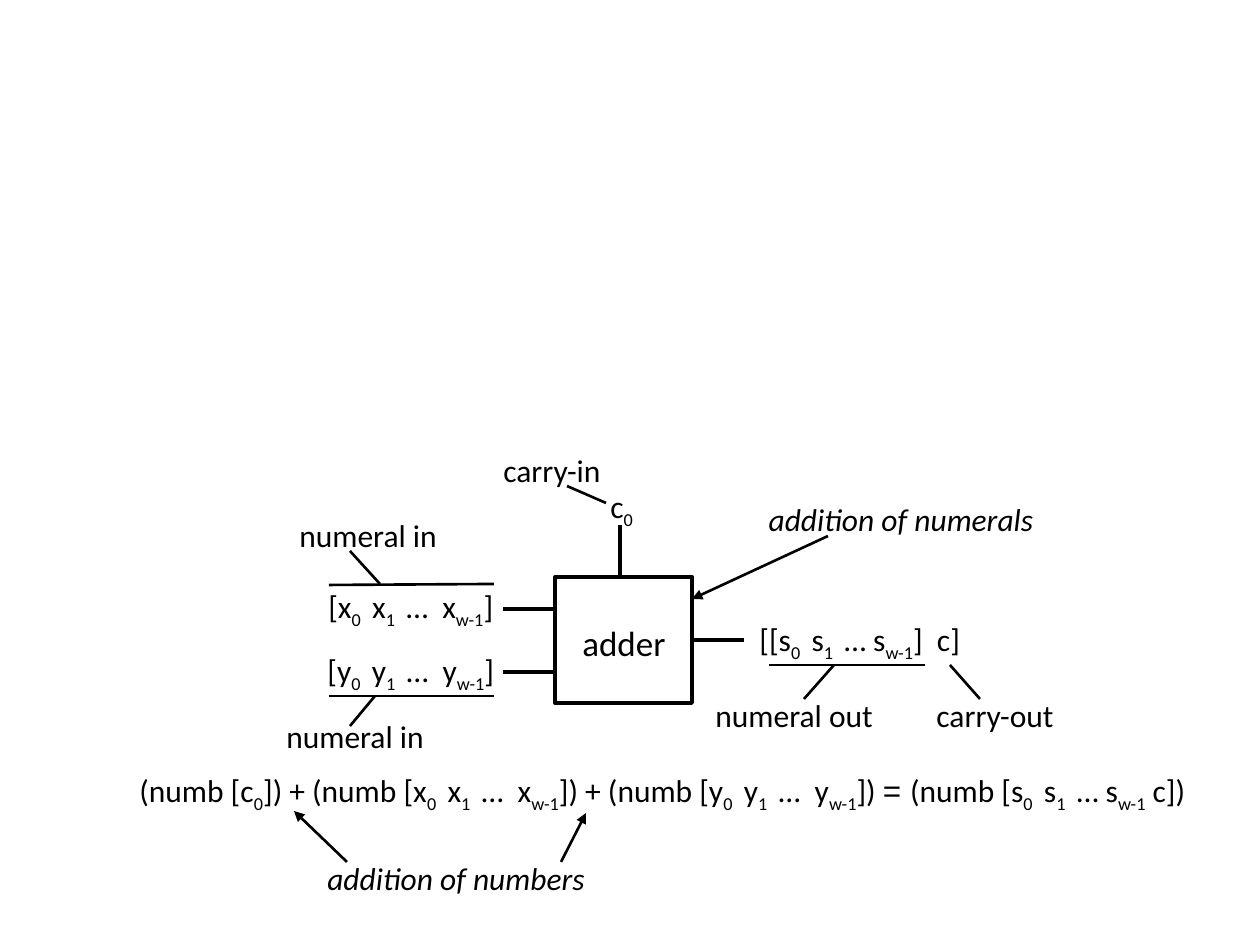
from lxml.etree import SubElement
from pptx import Presentation
from pptx.dml.color import RGBColor
from pptx.enum.shapes import MSO_CONNECTOR as Connector, MSO_SHAPE as Shape
from pptx.enum.text import MSO_AUTO_SIZE as AutoSize, PP_ALIGN as Align
from pptx.oxml.ns import qn
from pptx.util import Emu, Pt

SCALE = 914400 / 126
BLACK = RGBColor(0, 0, 0)
THIN, THICK = 1.5, 2.25

# Text in braces is a subscript, except the equals sign, which is set in Arial
# Labels: text, left, top, width, height
LABELS = [
    ("[x{0 } x{1 } …  x{w-1}]", 316, 581, 192, 55),
    ("[y{0 } y{1 } …  y{w-1}]", 315, 645, 194, 55),
    ("[[s{0 } s{1 } … s{w-1}]  c]", 747, 614, 228, 55),
    ("c{0}", 598, 481, 50, 55),
    ("numeral in", 287, 510, 163, 50),
    ("numeral in", 274, 711, 163, 50),
    ("numeral out", 703, 690, 185, 50),
    ("carry-in", 491, 445, 123, 50),
    ("carry-out", 924, 690, 142, 50),
    ("(numb [c{0}]) + (numb [x{0 } x{1 } …  x{w-1}]) + (numb [y{0 } y{1 } …  y{w-1}]) "
     "{= }(numb [s{0 } s{1 } … s{w-1} c])", 127, 765, 1092, 55),
]
CAPTIONS = [
    ("addition of numerals", 751, 498, 300, 47),
    ("addition of numbers", 306, 857, 300, 47),
]
ADDER_LABEL = ("adder", 560, 615, 128, 55)
ADDER_BOX = (555, 577, 137, 126)

# Lines: from x, from y, to x, to y
WIRES = [(555, 609, 503, 609), (555, 672, 503, 672), (620, 577, 620, 525)]
OUTPUT_WIRE = (744, 640, 692, 640)
BRACKET_LINES = [(329, 585, 494, 584), (329, 696, 494, 696), (769, 665, 925, 665)]
LEADERS = [
    (350, 551, 380, 584), (350, 726, 375, 696), (804, 699, 834, 665),
    (980, 699, 950, 665), (606, 503, 567, 486),
]
ARROWS = [(828, 536, 692, 599), (561, 862, 586, 813), (347, 862, 294, 811)]


def px(*values):
    return [Emu(round(value * SCALE)) for value in values]


def add_label(slide, text, left, top, width, height,
              size=18, italic=False, align=None, spacing=None, rotation=0):
    box = slide.shapes.add_textbox(*px(left, top, width, height))
    box.rotation = rotation
    frame = box.text_frame
    frame.word_wrap = False
    frame.auto_size = AutoSize.SHAPE_TO_FIT_TEXT
    paragraph = frame.paragraphs[0]
    paragraph.alignment = align
    paragraph.line_spacing = spacing
    for index, piece in enumerate(text.replace("}", "{").split("{")):
        if not piece:
            continue
        run = paragraph.add_run()
        run.text = piece
        marked = index % 2 == 1
        equals = marked and piece.startswith("=")
        formats = {"name": "Arial" if equals else "Calibri",
                   "size": Pt(size), "italic": italic}
        for name, value in formats.items():
            setattr(run.font, name, value)
        run.font.color.rgb = BLACK
        if marked and not equals:
            run._r.get_or_add_rPr().set("baseline", "-25000")


def add_line(slide, ends, weight, arrow=False):
    line = slide.shapes.add_connector(Connector.STRAIGHT, *px(*ends))
    line.line.color.rgb = BLACK
    line.line.width = Pt(weight)
    if arrow:
        SubElement(line.line._get_or_add_ln(), qn("a:tailEnd"), type="triangle")
    SubElement(line._element.spPr, qn("a:effectLst"))
    return line


presentation = Presentation()
presentation.slide_width, presentation.slide_height = px(1260, 945)
slide = presentation.slides.add_slide(presentation.slide_layouts[6])

# Adder box with its wires
adder = slide.shapes.add_shape(Shape.RECTANGLE, *px(*ADDER_BOX))
adder.shadow.inherit = False
adder.fill.background()
adder.line.color.rgb = BLACK
adder.line.width = Pt(THICK)
add_label(slide, *ADDER_LABEL, size=20, align=Align.CENTER)
for wire in WIRES:
    add_line(slide, wire, THICK)
add_line(slide, OUTPUT_WIRE, THICK).end_connect(adder, 3)

# Brackets, leaders and arrows
for ends in BRACKET_LINES + LEADERS:
    add_line(slide, ends, THIN)
for ends in ARROWS:
    add_line(slide, ends, THIN, arrow=True)

# Labels and slightly tilted captions
for label in LABELS:
    add_label(slide, *label)
for caption in CAPTIONS:
    add_label(slide, *caption, italic=True, align=Align.CENTER,
              spacing=0.9, rotation=359.9)

presentation.save("out.pptx")
